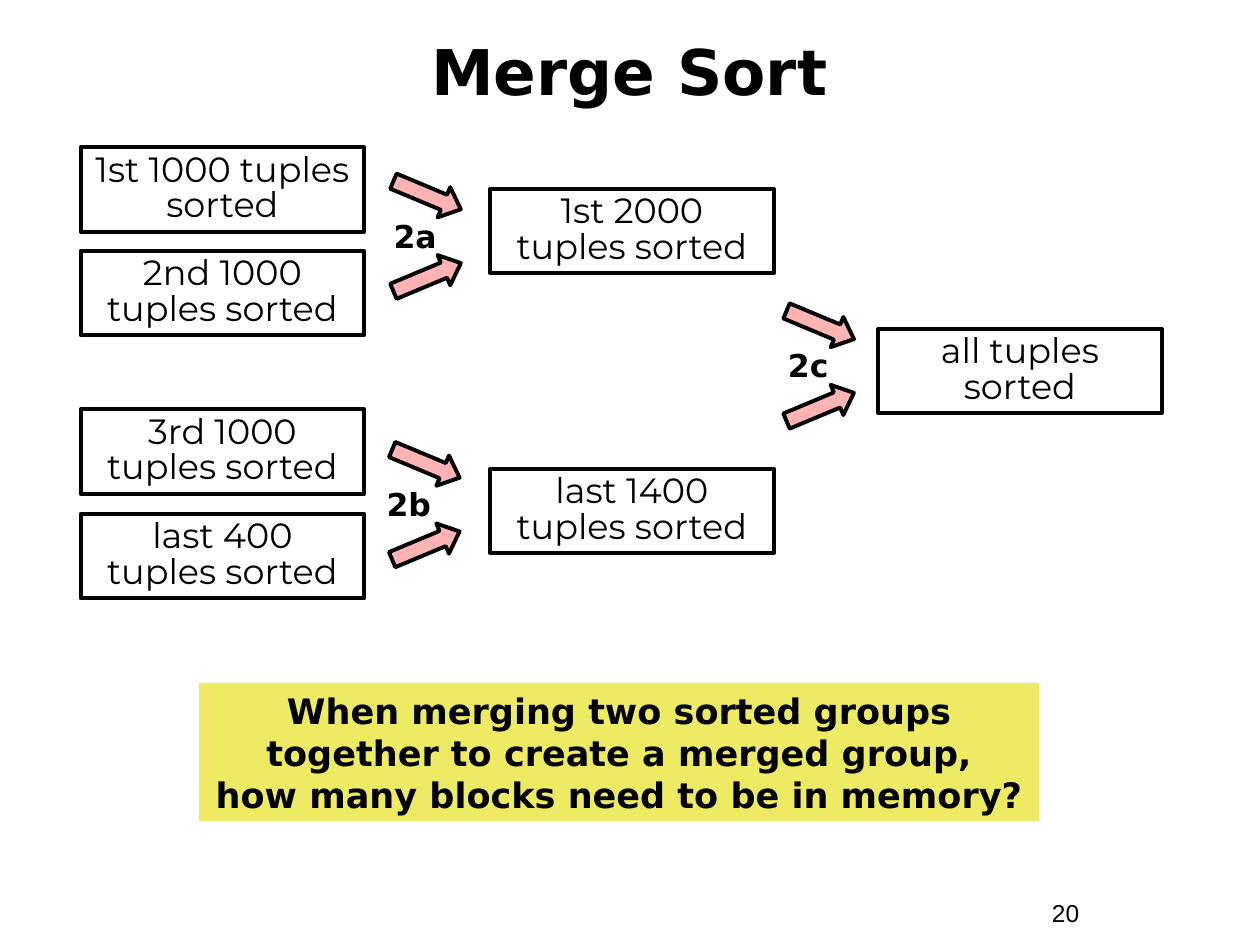
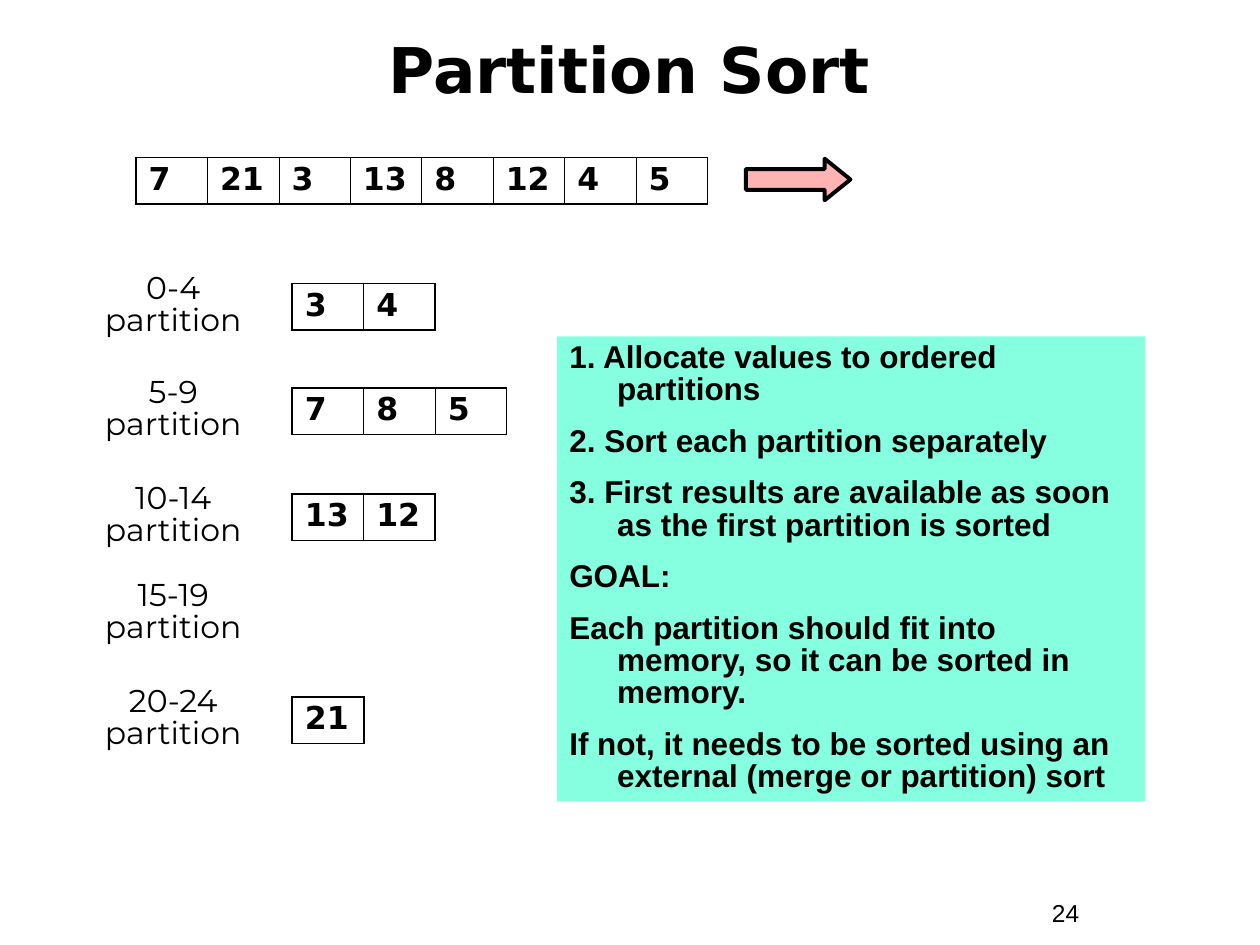
"""Build two slides on external sorting: merge sort and partition sort."""
from lxml import etree
from pptx import Presentation
from pptx.dml.color import RGBColor
from pptx.enum.shapes import MSO_SHAPE
from pptx.enum.text import MSO_ANCHOR, MSO_AUTO_SIZE, PP_ALIGN
from pptx.oxml.ns import qn
from pptx.util import Inches, Pt

RECTANGLE, ARROW = MSO_SHAPE.RECTANGLE, MSO_SHAPE.RIGHT_ARROW
LEFT, CENTER = PP_ALIGN.LEFT, PP_ALIGN.CENTER
TOP, MIDDLE = MSO_ANCHOR.TOP, MSO_ANCHOR.MIDDLE
NO_FIT = MSO_AUTO_SIZE.NONE

THEME = {
    "ink": "000000", "arrow": "FFB3B3", "question": "EDEA63", "steps": "85FFDF",
    "outline": 2.25, "outer_border": 1.08, "inner_border": 0.45,
    "title": ({"name": "DejaVu Sans", "size": Pt(36), "bold": True}, {"alignment": CENTER}),
    "number": ({"name": "Arial", "size": Pt(14), "bold": False}, {"alignment": LEFT}),
    "group": ({"name": "Montserrat", "size": Pt(20), "bold": False},
              {"alignment": CENTER, "line_spacing": 0.85}),
    "partition": ({"name": "Montserrat", "size": Pt(18), "bold": False},
                  {"alignment": CENTER, "line_spacing": 0.85}),
    "merge_label": ({"name": "DejaVu Sans", "size": Pt(18), "bold": True}, {"alignment": CENTER}),
    "banner": ({"name": "DejaVu Sans", "size": Pt(20), "bold": True}, {"alignment": CENTER}),
    "value": ({"name": "DejaVu Sans", "size": Pt(18), "bold": True},
              {"alignment": LEFT, "line_spacing": 0.9}),
    "step": ({"name": "Arial", "size": Pt(18), "bold": True},
             {"alignment": LEFT, "line_spacing": 0.85}),
}


def write(frame, paragraphs, style, anchor=TOP, gap=0, hanging=0):
    """Fill a text frame with paragraphs in one of the theme's styles."""
    font_format, para_format = THEME[style]
    frame.word_wrap = True
    frame.auto_size = NO_FIT
    frame.vertical_anchor = anchor
    for index, text in enumerate(paragraphs):
        para = frame.add_paragraph() if index else frame.paragraphs[0]
        para.text = text
        para.space_before = Pt(gap if index else 0)
        for name, value in para_format.items():
            setattr(para, name, value)
        if hanging:
            properties = para._p.get_or_add_pPr()
            properties.set("marL", str(Inches(hanging)))
            properties.set("indent", str(-Inches(hanging)))
        for span in para.runs:
            for name, value in font_format.items():
                setattr(span.font, name, value)
            span.font.color.rgb = RGBColor.from_string(THEME["ink"])


def add_block(page, kind, place, fill=None, outlined=True):
    """Add a preset shape with a theme fill and an optional outline."""
    block = page.shapes.add_shape(kind, *map(Inches, place))
    block.shadow.inherit = False
    if fill:
        block.fill.solid()
        block.fill.fore_color.rgb = RGBColor.from_string(THEME[fill])
    else:
        block.fill.background()
    if outlined:
        block.line.color.rgb = RGBColor.from_string(THEME["ink"])
        block.line.width = Pt(THEME["outline"])
    else:
        block.line.fill.background()
    return block


deck = Presentation()
deck.slide_width, deck.slide_height = Inches(10), Inches(7.5)

pages = []
for heading, number, title_top in [("Merge Sort", "20", 0.1), ("Partition Sort", "24", 0.08)]:
    page = deck.slides.add_slide(deck.slide_layouts[5])
    title = page.shapes.title
    title.left, title.top = Inches(0.33), Inches(title_top)
    title.width, title.height = Inches(9.33), Inches(0.92)
    write(title.text_frame, [heading], "title", MIDDLE)
    number_box = page.shapes.add_textbox(*map(Inches, (8.25, 7.08, 0.92, 0.34)))
    write(number_box.text_frame, [number], "number")
    pages.append(page)
merge_page, partition_page = pages

sorted_groups = [
    ("1st 1000 tuples sorted", 0.64, 1.17),
    ("2nd 1000 tuples sorted", 0.64, 1.99),
    ("3rd 1000 tuples sorted", 0.64, 3.25),
    ("last 400 tuples sorted", 0.64, 4.08),
    ("1st 2000 tuples sorted", 3.89, 1.5),
    ("last 1400 tuples sorted", 3.89, 3.72),
    ("all tuples sorted", 6.97, 2.61),
]
for text, left, top in sorted_groups:
    group_box = add_block(merge_page, RECTANGLE, (left, top, 2.25, 0.67))
    write(group_box.text_frame, [text], "group")

merges = [("2a", 2.88, 3.1, 1.42), ("2b", 2.83, 3.09, 3.55), ("2c", 6, 6.22, 2.45)]
for label, label_left, arrow_left, top in merges:
    for drop, turn in [(0, 22.7), (0.65, -22.7)]:
        arrow = add_block(merge_page, ARROW, (arrow_left, top + drop, 0.58, 0.26), "arrow")
        arrow.adjustments[1] = 0.56
        arrow.rotation = turn
    label_box = merge_page.shapes.add_textbox(*map(Inches, (label_left, top + 0.25, 0.83, 0.4)))
    write(label_box.text_frame, [label], "merge_label")

question = add_block(merge_page, RECTANGLE, (1.58, 5.42, 6.67, 1.1), "question", False)
write(question.text_frame, [
    "When merging two sorted groups together to create a merged group,\n"
    "how many blocks need to be in memory?",
], "banner")

partitions = [
    ("0-4", 2.12, ["3", "4"]),
    ("5-9", 2.95, ["7", "8", "5"]),
    ("10-14", 3.79, ["13", "12"]),
    ("15-19", 4.56, []),
    ("20-24", 5.4, ["21"]),
]
value_rows = [(1.08, 1.25, ["7", "21", "3", "13", "8", "12", "4", "5"])]
for key_range, top, values in partitions:
    range_box = partition_page.shapes.add_textbox(*map(Inches, (0.5, top, 1.75, 0.61)))
    write(range_box.text_frame, [f"{key_range}\npartition"], "partition")
    if values:
        value_rows.append((2.32, top + 0.13, values))

cell_width, cell_height = 0.567, 0.37
for left, top, values in value_rows:
    place = (left, top, cell_width * len(values), cell_height)
    table = partition_page.shapes.add_table(1, len(values), *map(Inches, place)).table
    table.first_row = table.horz_banding = False
    for column, value in enumerate(values):
        table.columns[column].width = Inches(cell_width)
        cell = table.cell(0, column)
        write(cell.text_frame, [value], "value")
        cell.vertical_anchor = TOP
        properties = cell._tc.get_or_add_tcPr()
        outer_sides = {"a:lnL": column == 0, "a:lnR": column == len(values) - 1,
                       "a:lnT": True, "a:lnB": True}
        for side, outer in outer_sides.items():
            width = THEME["outer_border" if outer else "inner_border"]
            border = etree.SubElement(properties, qn(side), w=str(Pt(width)))
            border_fill = etree.SubElement(border, qn("a:solidFill"))
            etree.SubElement(border_fill, qn("a:srgbClr"), val=THEME["ink"])
        cell.fill.background()

output_arrow = add_block(partition_page, ARROW, (5.92, 1.26, 0.83, 0.33), "arrow")
output_arrow.adjustments[1] = 0.62

steps = add_block(partition_page, RECTANGLE, (4.42, 2.67, 4.67, 3.69), "steps", False)
write(steps.text_frame, [
    "1. Allocate values to ordered partitions",
    "2. Sort each partition separately",
    "3. First results are available as soon as the first partition is sorted",
    "GOAL:",
    "Each partition should fit into memory, so it can be sorted in memory.",
    "If not, it needs to be sorted using an external (merge or partition) sort",
], "step", gap=11.2, hanging=0.38)

deck.save("out.pptx")
